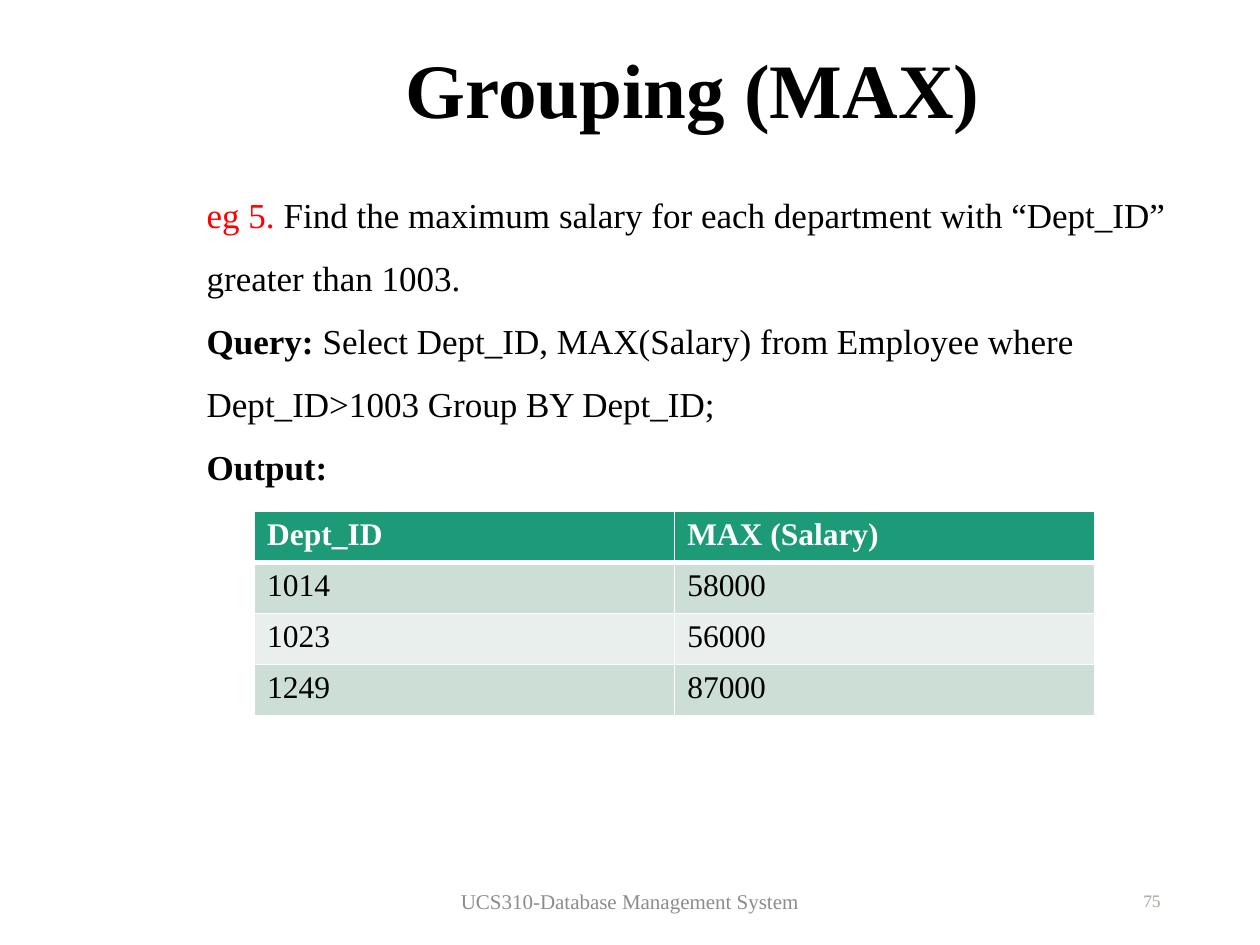
import pptx
import pptx.util
import pptx.dml.color
import pptx.enum.text
import pptx.oxml
import pptx.oxml.ns

Inches, Pt = pptx.util.Inches, pptx.util.Pt
ALIGN = pptx.enum.text.PP_ALIGN
ANCHOR = pptx.enum.text.MSO_ANCHOR
FACE = "Times New Roman"
COLORS = {
    "ink": "000000", "accent": "FF0000", "white": "FFFFFF", "head": "1D9A78",
    "dark": "CDDED6", "light": "E8EFEC", "foot": "8C8C8C", "page": "A7A399",
}

TITLE = "Grouping (MAX)"
# Each paragraph is a list of (text, colour, bold) runs.
BODY = [
    [("eg 5. ", "accent", False),
     ("Find the maximum salary for each department with “Dept_ID” "
      "greater than 1003.", "ink", False)],
    [("Query: ", "ink", True),
     ("Select Dept_ID, MAX(Salary) from Employee where "
      "Dept_ID>1003 Group BY Dept_ID;", "ink", False)],
    [("Output:", "ink", True)],
]
ROWS = [("Dept_ID", "MAX (Salary)"),
        ("1014", "58000"), ("1023", "56000"), ("1249", "87000")]
# Text, left, width, size, colour, alignment
FOOTER = [
    ("UCS310-Database Management System", 3.31, 3.38, 12, "foot", ALIGN.CENTER),
    ("75", 7.06, 2.25, 10, "page", ALIGN.RIGHT),
]


def style(font, size, color, bold=False):
    font.name, font.size, font.bold = FACE, Pt(size), bold
    font.color.rgb = pptx.dml.color.RGBColor.from_string(COLORS[color])


def place(shape, left, top, width, height):
    shape.left, shape.top = Inches(left), Inches(top)
    shape.width, shape.height = Inches(width), Inches(height)


def add_title(slide):
    title = slide.shapes.title
    place(title, 1.25, 0.33, 8.5, 0.83)
    frame = title.text_frame
    frame.text = TITLE
    frame.auto_size = pptx.enum.text.MSO_AUTO_SIZE.NONE
    frame.vertical_anchor = ANCHOR.MIDDLE
    para = frame.paragraphs[0]
    para.alignment, para.line_spacing = ALIGN.CENTER, 0.9
    style(para.runs[0].font, 44, "ink", True)


def add_body(slide):
    body = slide.placeholders[1]
    place(body, 1.54, 1.32, 8.21, 3.03)
    frame = body.text_frame
    frame.auto_size = pptx.enum.text.MSO_AUTO_SIZE.NONE
    frame.vertical_anchor = ANCHOR.TOP
    for i, runs in enumerate(BODY):
        para = frame.add_paragraph() if i else frame.paragraphs[0]
        para.line_spacing, para.space_before = 1.5, Pt(0)
        props = para._p.get_or_add_pPr()
        props.set("marL", "0")
        props.set("indent", "0")
        props.append(pptx.oxml.parse_xml(
            f'<a:buNone {pptx.oxml.ns.nsdecls("a")}/>'))
        for text, color, bold in runs:
            run = para.add_run()
            run.text = text
            style(run.font, 20, color, bold)


def add_borders(cell, bottom):
    props = cell._tc.get_or_add_tcPr()
    widths = {"lnL": 1, "lnR": 1, "lnT": 1, "lnB": bottom}
    for i, (tag, width) in enumerate(widths.items()):
        props.insert(i, pptx.oxml.parse_xml(
            f'<a:{tag} {pptx.oxml.ns.nsdecls("a")} w="{Pt(width)}">'
            f'<a:solidFill><a:srgbClr val="{COLORS["white"]}"/></a:solidFill>'
            f'</a:{tag}>'))


def add_grid(slide):
    table = slide.shapes.add_table(
        len(ROWS), len(ROWS[0]), Inches(2.02), Inches(4.06),
        Inches(6.67), Inches(1.62)).table
    for r, row in enumerate(ROWS):
        head = r == 0
        fill = "head" if head else ("dark" if r % 2 else "light")
        for c, text in enumerate(row):
            cell = table.cell(r, c)
            cell.text = text
            cell.fill.solid()
            cell.fill.fore_color.rgb = pptx.dml.color.RGBColor.from_string(
                COLORS[fill])
            style(cell.text_frame.paragraphs[0].runs[0].font, 18,
                  "white" if head else "ink", head)
            add_borders(cell, 3 if head else 1)


def add_footer(slide):
    for text, left, width, size, color, align in FOOTER:
        box = slide.shapes.add_textbox(
            Inches(left), Inches(6.95), Inches(width), Inches(0.4))
        frame = box.text_frame
        frame.text = text
        frame.word_wrap = True
        frame.vertical_anchor = ANCHOR.MIDDLE
        para = frame.paragraphs[0]
        para.alignment = align
        style(para.runs[0].font, size, color)


def main():
    deck = pptx.Presentation()
    deck.slide_width, deck.slide_height = Inches(10), Inches(7.5)
    slide = deck.slides.add_slide(deck.slide_layouts[1])
    add_title(slide)
    add_body(slide)
    add_grid(slide)
    add_footer(slide)
    deck.save("out.pptx")


if __name__ == "__main__":
    main()
